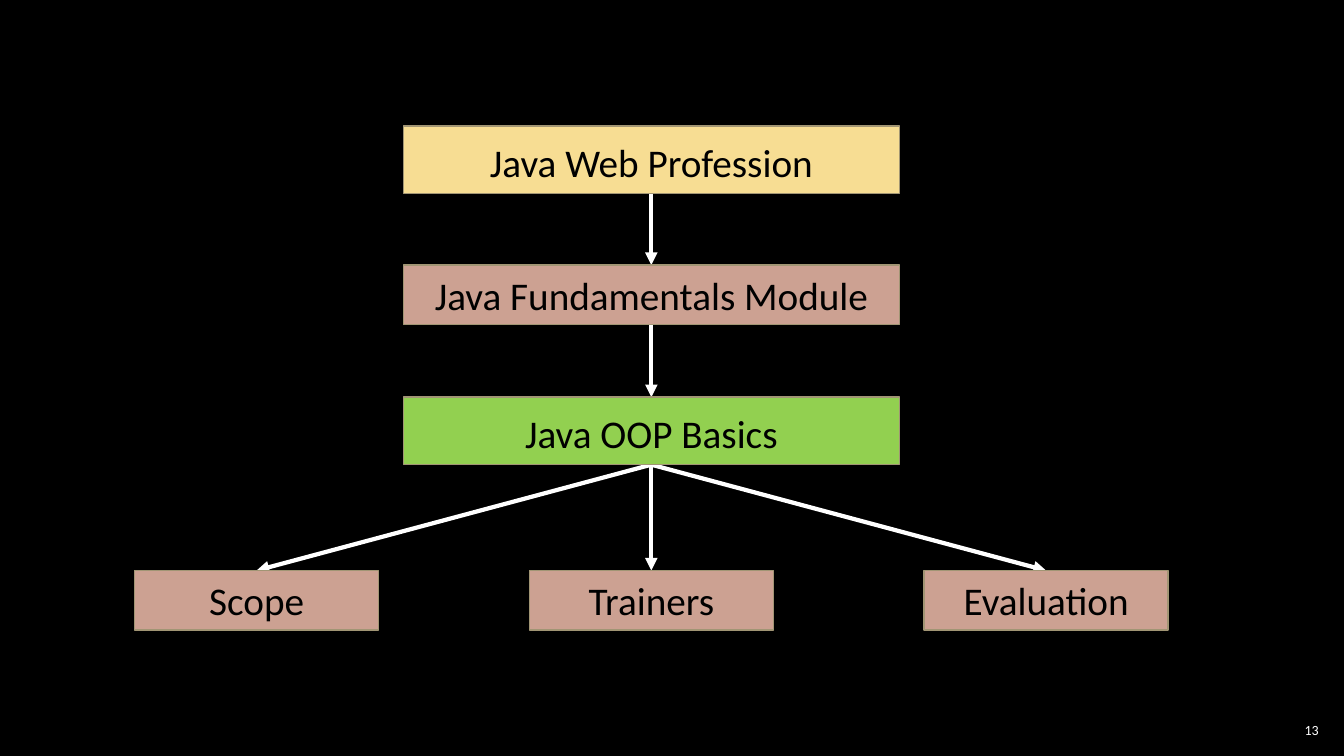
import pptx
import pptx.util
import pptx.oxml
import pptx.oxml.ns
import pptx.dml.color
import pptx.enum.shapes
import pptx.enum.text

Inches, Pt = pptx.util.Inches, pptx.util.Pt
ALIGN, ANCHOR = pptx.enum.text.PP_ALIGN, pptx.enum.text.MSO_ANCHOR

COLORS = {"back": "000000", "text": "000000", "light": "FFFFFF", "edge": "A19574",
          "gold": "F7DD93", "rose": "CCA192", "green": "92D050"}

# text, fill, top, height
STEPS = [
    ("Java Web Profession", "gold", 1.25, 0.67),
    ("Java Fundamentals Module", "rose", 2.63, 0.59),
    ("Java OOP Basics", "green", 3.94, 0.67),
]
TOPICS = ["Scope", "Trainers", "Evaluation"]
PAGE = "13"

MID = 6.46
STEP_W = 4.92
TOPIC_W, TOPIC_H, TOPIC_TOP, PITCH = 2.42, 0.59, 5.66, 3.915

TALL = {"vertical_anchor": ANCHOR.TOP, "margin_top": Inches(0.12),
        "margin_bottom": Inches(0.05)}
FLAT = {"vertical_anchor": ANCHOR.MIDDLE, "margin_top": 0, "margin_bottom": 0}
NUMBER = {"vertical_anchor": ANCHOR.MIDDLE}
NUMBER.update({"margin_" + side: Inches(0.04)
               for side in ("left", "top", "right", "bottom")})


def rgb(name):
    return pptx.dml.color.RGBColor.from_string(COLORS[name])


def write(shape, text, size, color, align, frame):
    for key, value in {"word_wrap": True, **frame}.items():
        setattr(shape.text_frame, key, value)
    para = shape.text_frame.paragraphs[0]
    para.alignment = align
    run = para.add_run()
    run.text = text
    for key, value in {"name": "Calibri", "size": Pt(size)}.items():
        setattr(run.font, key, value)
    run.font.color.rgb = rgb(color)


def add_box(slide, text, fill, mid, top, width, height):
    box = slide.shapes.add_shape(
        pptx.enum.shapes.MSO_SHAPE.RECTANGLE,
        Inches(mid - width / 2), Inches(top), Inches(width), Inches(height))
    box.shadow.inherit = False
    box.fill.solid()
    box.fill.fore_color.rgb = rgb(fill)
    box.line.color.rgb = rgb("edge")
    box.line.width = Pt(1)
    write(box, text, 28, "text", ALIGN.CENTER, TALL if height > 0.6 else FLAT)
    return box


def add_arrow(slide, upper, lower):
    """Join the bottom of one box to the top of another, behind both."""
    arrow = slide.shapes.add_connector(
        pptx.enum.shapes.MSO_CONNECTOR.STRAIGHT, 0, 0, 0, 0)
    arrow.begin_connect(upper, 2)
    arrow.end_connect(lower, 0)
    arrow.line.color.rgb = rgb("light")
    arrow.line.width = Pt(3)
    node = arrow._element
    tail = pptx.oxml.parse_xml(
        "<a:tailEnd %s type='triangle'/>" % pptx.oxml.ns.nsdecls("a"))
    node.spPr.find(pptx.oxml.ns.qn("a:ln")).append(tail)
    node.spPr.append(pptx.oxml.parse_xml(
        "<a:effectLst %s/>" % pptx.oxml.ns.nsdecls("a")))
    node.getparent().insert(2, node)


def main():
    deck = pptx.Presentation()
    deck.slide_width, deck.slide_height = Inches(13.33), Inches(7.5)
    slide = deck.slides.add_slide(deck.slide_layouts[6])
    slide.background.fill.solid()
    slide.background.fill.fore_color.rgb = rgb("back")

    steps = [add_box(slide, text, fill, MID, top, STEP_W, height)
             for text, fill, top, height in STEPS]
    topics = [add_box(slide, text, "rose", MID + (i - 1) * PITCH,
                      TOPIC_TOP, TOPIC_W, TOPIC_H)
              for i, text in enumerate(TOPICS)]
    links = list(zip(steps, steps[1:])) + [(steps[-1], topic) for topic in topics]
    for upper, lower in links:
        add_arrow(slide, upper, lower)

    number = slide.shapes.add_textbox(
        Inches(12.65), Inches(7.14), Inches(0.47), Inches(0.21))
    write(number, PAGE, 10, "light", ALIGN.RIGHT, NUMBER)
    deck.save("out.pptx")


if __name__ == "__main__":
    main()
